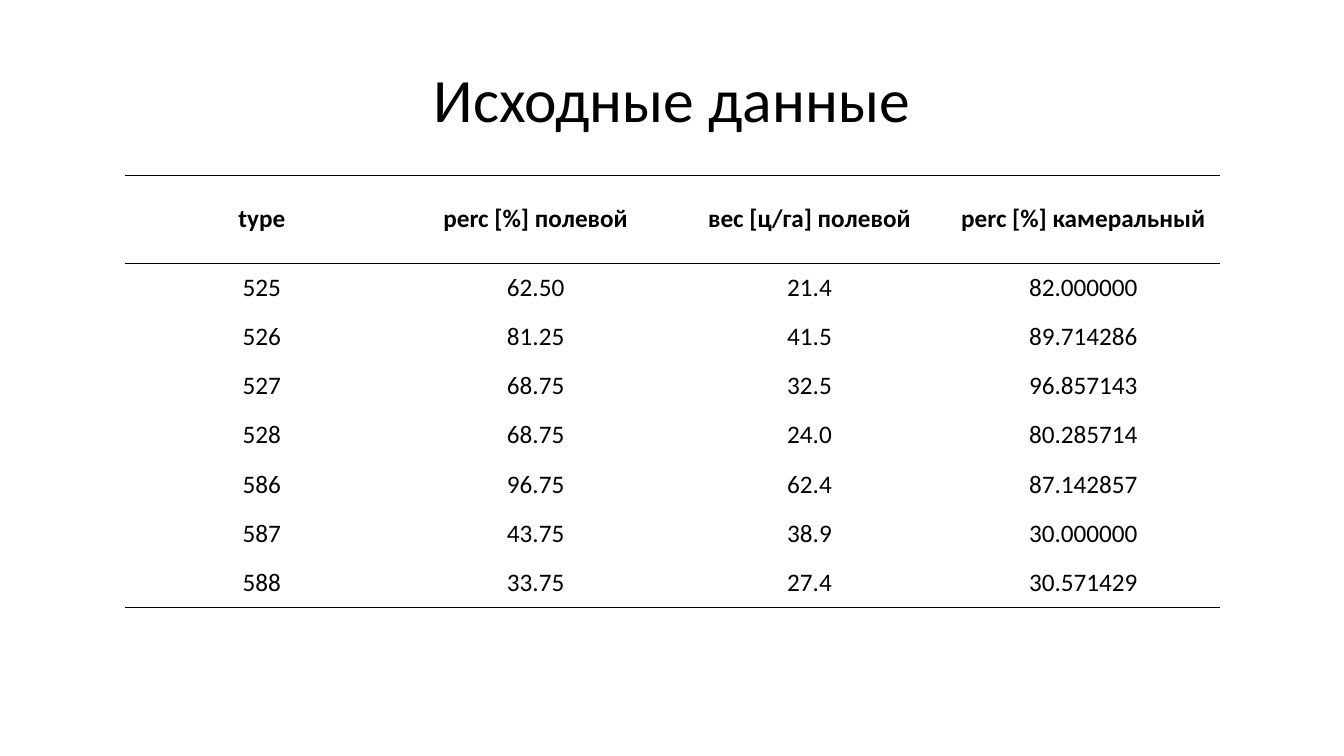
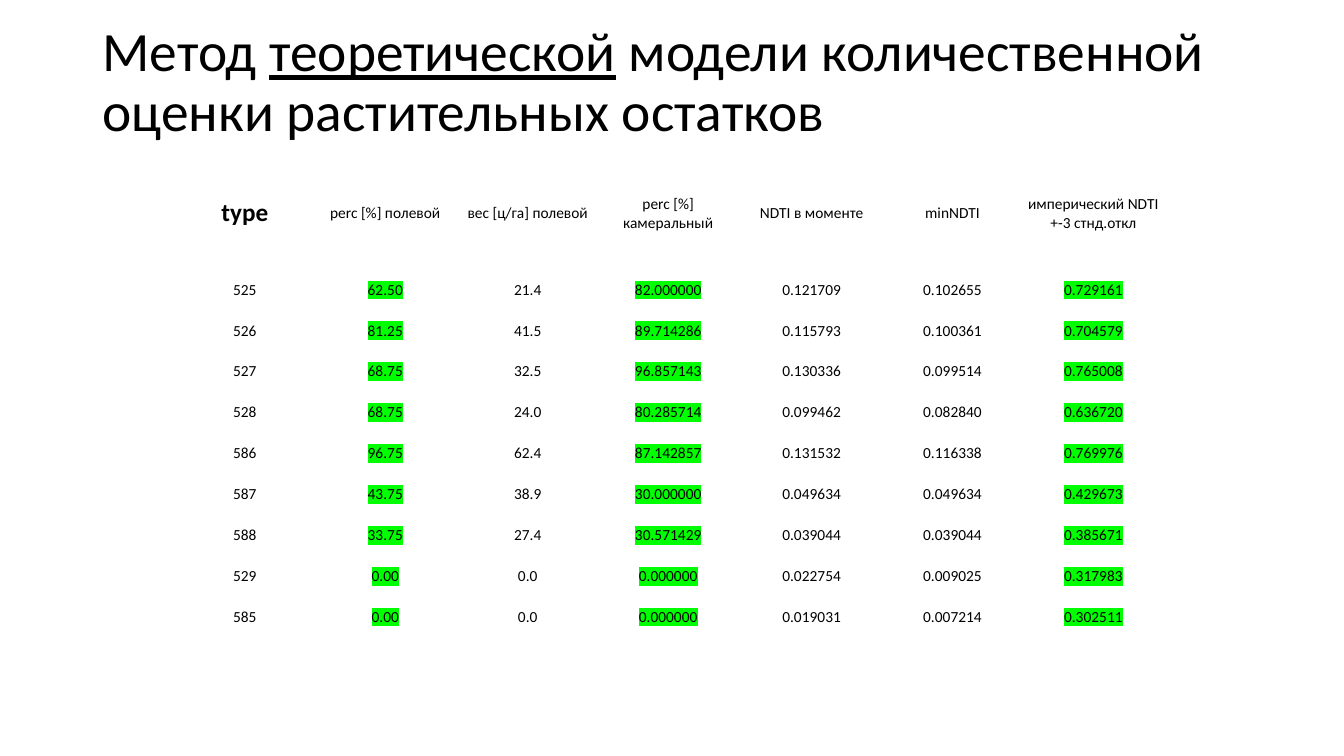
from dataclasses import dataclass

from pptx import Presentation
from pptx.dml.color import RGBColor
from pptx.enum.text import MSO_ANCHOR, MSO_AUTO_SIZE, PP_ALIGN
from pptx.oxml import parse_xml
from pptx.oxml.ns import nsdecls, qn
from pptx.util import Cm, Pt


# Content
FIELD_HEADER = ["type", "perc [%] полевой", "вес [ц/га] полевой", "perc [%] камеральный"]
FIELD_ROWS = [
    ["525", "62.50", "21.4", "82.000000"],
    ["526", "81.25", "41.5", "89.714286"],
    ["527", "68.75", "32.5", "96.857143"],
    ["528", "68.75", "24.0", "80.285714"],
    ["586", "96.75", "62.4", "87.142857"],
    ["587", "43.75", "38.9", "30.000000"],
    ["588", "33.75", "27.4", "30.571429"],
]
BARE_ROWS = [
    ["529", "0.00", "0.0", "0.000000"],
    ["585", "0.00", "0.0", "0.000000"],
]
NDTI_HEADER = ["NDTI в моменте", "minNDTI", "имперический NDTI +-3 стнд.откл"]
NDTI_ROWS = [
    ["0.121709", "0.102655", "0.729161"],
    ["0.115793", "0.100361", "0.704579"],
    ["0.130336", "0.099514", "0.765008"],
    ["0.099462", "0.082840", "0.636720"],
    ["0.131532", "0.116338", "0.769976"],
    ["0.049634", "0.049634", "0.429673"],
    ["0.039044", "0.039044", "0.385671"],
    ["0.022754", "0.009025", "0.317983"],
    ["0.019031", "0.007214", "0.302511"],
]
MODEL_ROWS = [field + ndti for field, ndti in zip(FIELD_ROWS + BARE_ROWS, NDTI_ROWS)]
COMPARED_COLUMNS = (1, 3, 6)
METHOD_TITLE = ["Метод ", "теоретической", " модели количественной оценки растительных остатков"]


@dataclass(frozen=True)
class Theme:
    font: str = "Calibri"
    ink: str = "000000"
    highlight: str = "00FF00"
    title: float = 44
    long_title: float = 39.6
    table: float = 18
    small_table: float = 11
    rule: float = 1
    plain_table_style: str = "{2D5ABB26-0587-4C30-8999-92F81FD0307C}"


THEME = Theme()


def style_span(span, size, bold=False):
    span.font.name = THEME.font
    span.font.size = Pt(size)
    span.font.bold = bold
    span.font.color.rgb = RGBColor.from_string(THEME.ink)


def add_page(deck, title_parts, top, size, align, underlined=(), bottom_inset=0.13):
    """Add a title-only page; title_parts become separate runs."""
    page = deck.slides.add_slide(deck.slide_layouts[5])
    box = page.shapes.title
    box.left, box.top, box.width, box.height = Cm(2.33), Cm(top), Cm(29.21), Cm(3.68)
    frame = box.text_frame
    frame.word_wrap = True
    frame.auto_size = MSO_AUTO_SIZE.NONE
    frame.vertical_anchor = MSO_ANCHOR.MIDDLE
    frame.margin_bottom = Cm(bottom_inset)
    para = frame.paragraphs[0]
    para.alignment = align
    para.line_spacing = 0.9
    for index, part in enumerate(title_parts):
        span = para.add_run()
        span.text = part
        style_span(span, size)
        span.font.underline = index in underlined
    return page


def highlight_span(span):
    mark = parse_xml(
        f'<a:highlight {nsdecls("a")}><a:srgbClr val="{THEME.highlight}"/></a:highlight>'
    )
    span.font._element.find(qn("a:rPr")).find(qn("a:solidFill")).addnext(mark) \
        if span.font._element.tag != qn("a:rPr") \
        else span.font._element.find(qn("a:solidFill")).addnext(mark)


def rule_cell(cell, sides):
    """Draw rules on the given sides, listed top (T) before bottom (B)."""
    properties = cell._tc.get_or_add_tcPr()
    for index, side in enumerate(sides):
        properties.insert(index, parse_xml(
            f'<a:ln{side} {nsdecls("a")} w="{Pt(THEME.rule)}"><a:solidFill>'
            f'<a:srgbClr val="{THEME.ink}"/></a:solidFill></a:ln{side}>'
        ))


def add_data_table(page, rows, left, top, widths, header_height, row_height, margins):
    """Add a plain centred table and return it with its runs still unstyled."""
    heights = [header_height] + [row_height] * (len(rows) - 1)
    frame = page.shapes.add_table(
        len(rows), len(widths), Cm(left), Cm(top), Cm(sum(widths)), Cm(sum(heights))
    )
    table = frame.table
    table.horz_banding = False
    next(frame._element.iter(qn("a:tableStyleId"))).text = THEME.plain_table_style
    for column, width in zip(table.columns, widths):
        column.width = Cm(width)
    side, edge = margins
    for row, height, values in zip(table.rows, heights, rows):
        row.height = Cm(height)
        for cell, value in zip(row.cells, values):
            cell.text_frame.text = value
            cell.fill.background()
            cell.vertical_anchor = MSO_ANCHOR.MIDDLE
            cell.margin_left = cell.margin_right = Cm(side)
            cell.margin_top = cell.margin_bottom = Cm(edge)
            cell.text_frame.paragraphs[0].alignment = PP_ALIGN.CENTER
    return table


def cells_with_spans(table):
    for r, row in enumerate(table.rows):
        for c, cell in enumerate(row.cells):
            yield r, c, cell, cell.text_frame.paragraphs[0].runs[0]


def build_source_data(deck):
    page = add_page(deck, ["Исходные данные"], 0.74, THEME.title, PP_ALIGN.CENTER)
    rows = [FIELD_HEADER] + FIELD_ROWS
    table = add_data_table(page, rows, 3.15, 4.42, [6.9] * 4, 2.21, 1.24, (0.2, 0.1))
    ruled_rows = {0: "TB", len(rows) - 1: "B"}
    for r, c, cell, span in cells_with_spans(table):
        style_span(span, THEME.table, bold=r == 0)
        rule_cell(cell, ruled_rows.get(r, ""))


def build_theoretical_model(deck):
    page = add_page(deck, METHOD_TITLE, 1.02, THEME.long_title, PP_ALIGN.LEFT,
                    underlined=(1,), bottom_inset=1.63)
    rows = [FIELD_HEADER + NDTI_HEADER] + MODEL_ROWS
    widths = [3.3, 3.78, 3.4, 3.68] + [3.55] * 3
    table = add_data_table(page, rows, 4.52, 3.96, widths, 2.83, 1.03, (0.13, 0.05))
    for r, c, cell, span in cells_with_spans(table):
        is_key = (r, c) == (0, 0)
        style_span(span, THEME.table if is_key else THEME.small_table, bold=is_key)
        if r > 0 and c in COMPARED_COLUMNS:
            highlight_span(span)


def main():
    deck = Presentation()
    deck.slide_width, deck.slide_height = Cm(33.87), Cm(19.05)
    build_source_data(deck)
    build_theoretical_model(deck)
    deck.save("out.pptx")


if __name__ == "__main__":
    main()
